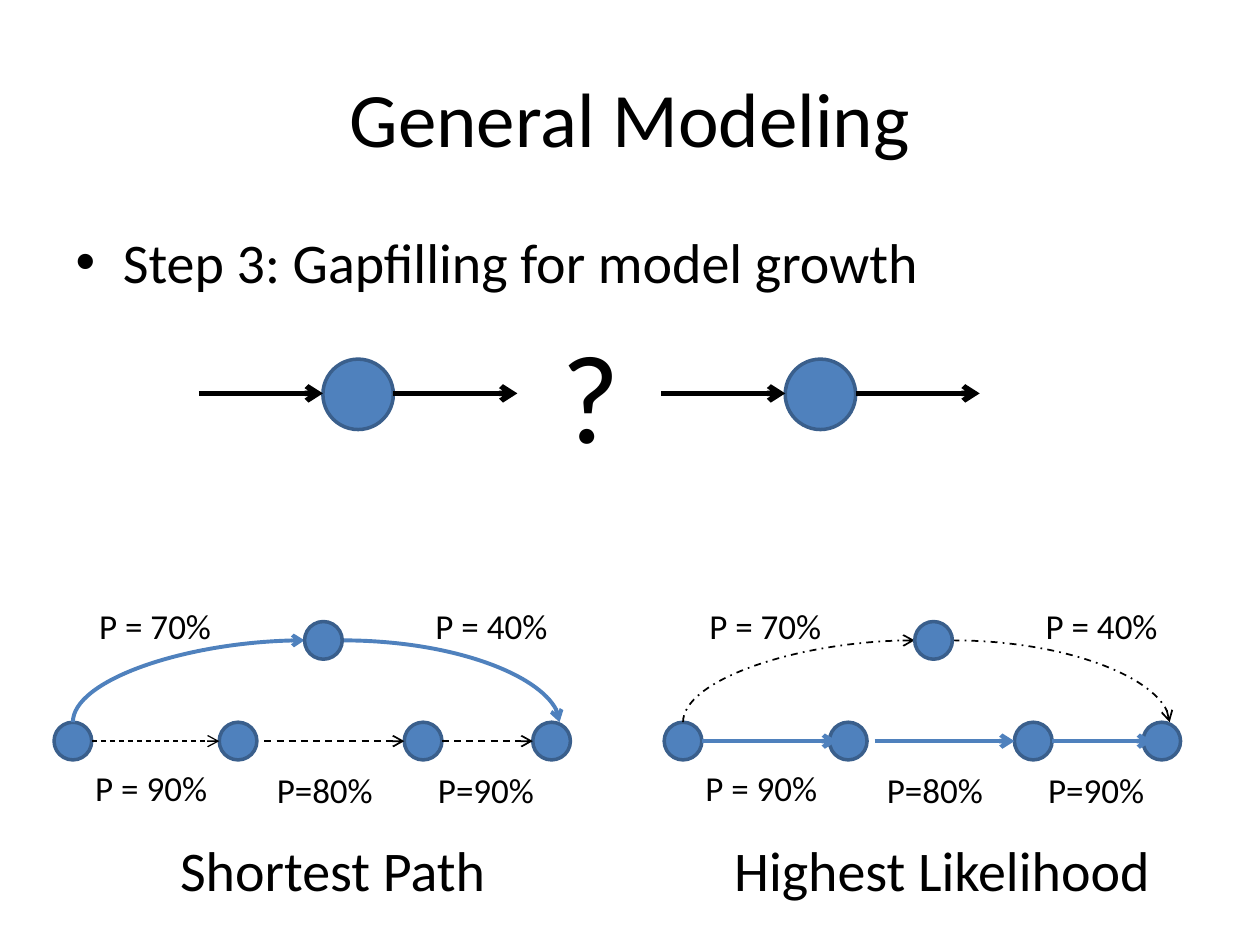
from pptx import Presentation
from pptx.dml.color import RGBColor
from pptx.enum.dml import MSO_LINE
from pptx.enum.shapes import MSO_CONNECTOR, MSO_SHAPE
from pptx.enum.text import MSO_ANCHOR, PP_ALIGN
from pptx.oxml.ns import qn
from pptx.util import Cm, Pt
from lxml import etree

STRAIGHT, CURVE = MSO_CONNECTOR.STRAIGHT, MSO_CONNECTOR.CURVE
OVAL = MSO_SHAPE.OVAL
DASH, DASH_DOT = MSO_LINE.DASH, MSO_LINE.DASH_DOT
TOP, MIDDLE = MSO_ANCHOR.TOP, MSO_ANCHOR.MIDDLE
LEFT, CENTER = PP_ALIGN.LEFT, PP_ALIGN.CENTER

COLORS = {"text": "000000", "node": "4F81BD", "outline": "3A5F8C"}
FONT = "Calibri"
DOT = 0.76
NODE = 1.42


def color(name):
    return RGBColor.from_string(COLORS[name])


def write(shape, text, size=20, align=LEFT, anchor=TOP, wrap=True):
    frame = shape.text_frame
    frame.word_wrap = wrap
    frame.vertical_anchor = anchor
    para = frame.paragraphs[0]
    para.alignment = align
    span = para.add_run()
    span.text = text
    span.font.name = FONT
    span.font.size = Pt(size)
    span.font.color.rgb = color("text")


def place(shape, left, top, width, height):
    shape.left, shape.top = Cm(left), Cm(top)
    shape.width, shape.height = Cm(width), Cm(height)


def add_label(shapes, text, left, top, width, height, **text_format):
    box = shapes.add_textbox(Cm(left), Cm(top), Cm(width), Cm(height))
    write(box, text, **text_format)


def add_node(shapes, left, top, diameter):
    node = shapes.add_shape(OVAL, Cm(left), Cm(top), Cm(diameter), Cm(diameter))
    node.shadow.inherit = False
    node.fill.solid()
    node.fill.fore_color.rgb = color("node")
    node.line.color.rgb = color("outline")
    node.line.width = Pt(2)


def add_arrow(shapes, start, end, ink="text", width=1, dash=None, kind=STRAIGHT):
    arrow = shapes.add_connector(kind, *(Cm(length) for length in (*start, *end)))
    arrow.line.color.rgb = color(ink)
    arrow.line.width = Pt(width)
    if dash is not None:
        arrow.line.dash_style = dash
    properties = arrow._element.spPr
    tail = etree.SubElement(properties.find(qn("a:ln")), qn("a:tailEnd"))
    tail.set("type", "arrow")
    etree.SubElement(properties, qn("a:effectLst"))
    if kind == CURVE:
        properties.find(qn("a:prstGeom")).set("prst", "curvedConnector2")
    return arrow


def add_headings(page):
    title, body = page.placeholders
    place(title, 1.27, 0.76, 22.86, 3.18)
    write(title, "General Modeling", size=44, align=CENTER, anchor=MIDDLE)
    place(body, 1.27, 4.45, 22.86, 12.57)
    write(body, "Step 3: Gapfilling for model growth", size=32)


def add_reaction(shapes, left, top):
    middle = top + 0.69
    node_left = left + 2.5
    add_node(shapes, node_left, top, NODE)
    for start, end in ((left, node_left), (node_left + NODE, left + 6.42)):
        add_arrow(shapes, (start, middle), (end, middle), width=3)


def add_network(page, left, top, ends, row_styles, arc_style):
    shapes = page.shapes.add_group_shape().shapes
    row_top = top + 2.49
    row_middle = row_top + DOT / 2
    arc_top = top + 0.84
    apex_left = left + 5.05

    for offset in (0, 3.33, 7.06, 9.65):
        add_node(shapes, left + offset, row_top, DOT)
    for start, end, style in zip((DOT, 4.24, 7.82), ends, row_styles):
        add_arrow(shapes, (left + start, row_middle), (left + end, row_middle), **style)

    rise_left, rise_top = left + 1.89, top - 0.67
    rise = add_arrow(shapes, (rise_left + 1.65, rise_top + 4.67),
                     (rise_left, rise_top), kind=CURVE, **arc_style)
    rise._element.spPr.find(qn("a:xfrm")).set("rot", "5400000")
    add_arrow(shapes, (apex_left + DOT, arc_top), (left + 10.19, row_top),
              kind=CURVE, **arc_style)
    add_node(shapes, apex_left, top + 0.46, DOT)

    for text, offset, drop, width in (
        ("P = 90%", 0.58, 3.25, 3.33),
        ("P=80%", 4.24, 3.3, 2.95),
        ("P=90%", 7.49, 3.3, 2.95),
        ("P = 70%", 0.66, 0, 3.33),
        ("P = 40%", 7.44, 0, 3.33),
    ):
        add_label(shapes, text, left + offset, top + drop, width, 1.32)


def main():
    deck = Presentation()
    deck.slide_width, deck.slide_height = Cm(25.4), Cm(19.05)
    page = deck.slides.add_slide(deck.slide_layouts[1])
    add_headings(page)

    thin = {"width": 0.75, "dash": DASH}
    dashed = {"width": 1, "dash": DASH}
    chosen = {"ink": "node", "width": 2.5}
    add_network(page, 1.09, 12.07, (3.33, 7.06, 9.65), (thin, dashed, dashed),
                {"ink": "node", "width": 2.25})
    add_network(page, 13.39, 12.07, (3.48, 7.06, 9.83), (chosen,) * 3,
                {"width": 1, "dash": DASH_DOT})

    for text, left, width in (("Shortest Path", 3.38, 6.73),
                              ("Highest Likelihood", 14.55, 8.99)):
        add_label(page.shapes, text, left, 16.71, width, 1.63, size=32, wrap=False)

    for left in (4.01, 13.33):
        add_reaction(page.shapes, left, 7.24)
    add_label(page.shapes, "?", 11.07, 6.27, 1.7, 3.33, size=72, wrap=False)
    deck.save("out.pptx")


if __name__ == "__main__":
    main()
